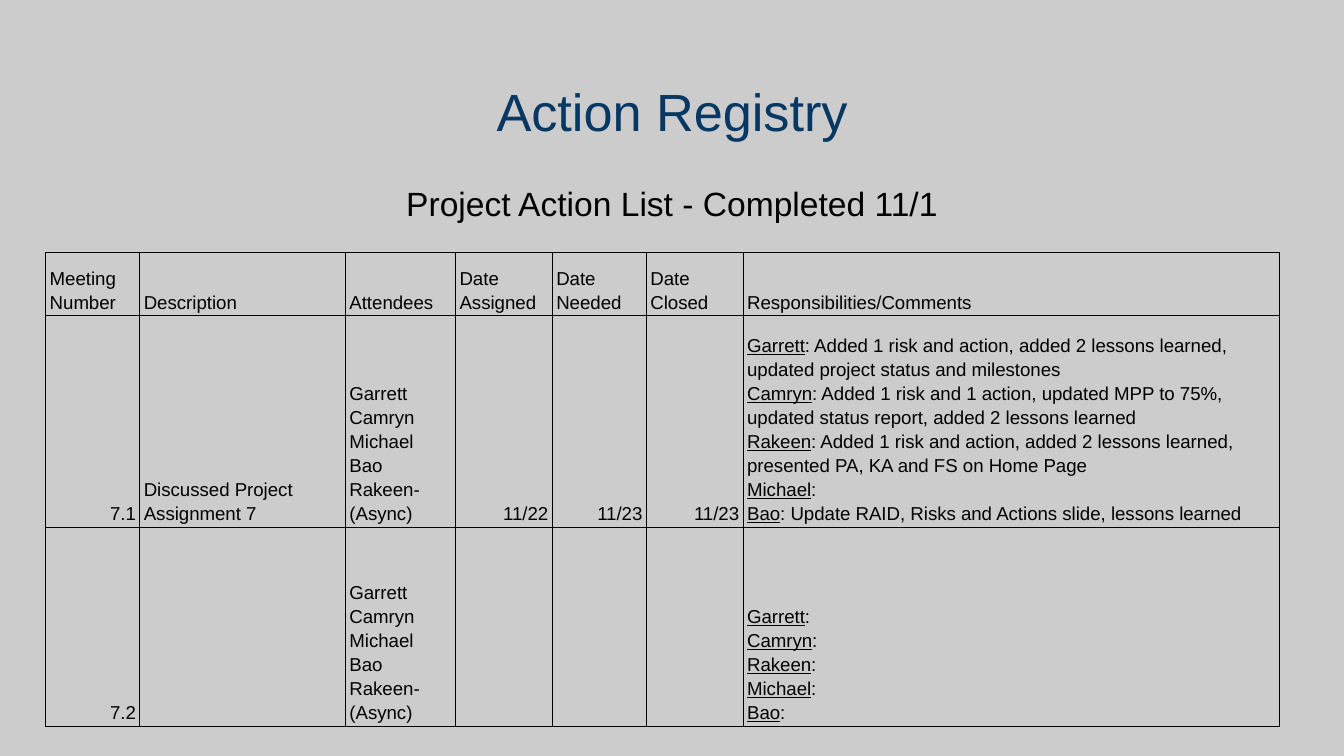
import dataclasses

import pptx
import pptx.dml.color
import pptx.enum.text
import pptx.oxml
import pptx.oxml.ns
import pptx.util

Inches = pptx.util.Inches
Pt = pptx.util.Pt
RGB = pptx.dml.color.RGBColor.from_string
ALIGN = pptx.enum.text.PP_ALIGN
ANCHOR = pptx.enum.text.MSO_ANCHOR


@dataclasses.dataclass(frozen=True)
class Theme:
    font: str = "Arial"
    background: str = "CCCCCC"
    title: str = "073763"
    text: str = "000000"
    title_size: int = 28
    subtitle_size: int = 18
    table_size: int = 10
    border: float = 0.75
    spacing: float = 1.15


THEME = Theme()
COLUMNS = [0.7, 1.53, 0.82, 0.72, 0.7, 0.72, 3.99]
ROWS = [0.47, 1.48, 1.48]
ATTENDEES = ["Garrett", "Camryn", "Michael", "Bao", "Rakeen- (Async)"]
UPDATES = [
    ("Garrett", ": Added 1 risk and action, added 2 lessons learned, updated project status and milestones"),
    ("Camryn", ": Added 1 risk and 1 action, updated MPP to 75%, updated status report, added 2 lessons learned"),
    ("Rakeen", ": Added 1 risk and action, added 2 lessons learned, presented PA, KA and FS on Home Page"),
    ("Michael", ":"),
    ("Bao", ": Update RAID, Risks and Actions slide, lessons learned"),
]
HEADER = [["Meeting", "Number"], ["Description"], ["Attendees"], ["Date Assigned"],
          ["Date Needed"], ["Date Closed"], ["Responsibilities/Comments"]]
MEETINGS = [
    [["7.1"], ["Discussed Project Assignment 7"], ATTENDEES, ["11/22"], ["11/23"], ["11/23"], UPDATES],
    [["7.2"], [], ATTENDEES, [], [], [], [(name, ":") for name, _ in UPDATES]],
]
RIGHT_ALIGNED = {0, 3, 4, 5}


def style(font, size, color):
    font.name = THEME.font
    font.size = Pt(size)
    font.color.rgb = RGB(color)


def add_heading(s, box, text, size, color):
    sp = s.shapes.add_textbox(*map(Inches, box))
    tf = sp.text_frame
    tf.word_wrap = True
    tf.margin_left = tf.margin_right = Inches(0.1)
    tf.margin_top = tf.margin_bottom = Inches(0.1)
    p = tf.paragraphs[0]
    p.text = text
    p.alignment = ALIGN.CENTER
    style(p.runs[0].font, size, color)


def add_borders(cell):
    tc_pr = cell._tc.get_or_add_tcPr()
    for side in ("lnL", "lnR", "lnT", "lnB"):
        tc_pr.append(pptx.oxml.parse_xml(
            f'<a:{side} {pptx.oxml.ns.nsdecls("a")} w="{Pt(THEME.border)}">'
            f'<a:solidFill><a:srgbClr val="{THEME.text}"/></a:solidFill></a:{side}>'))


def set_end_size(p, size):
    p._p.append(pptx.oxml.parse_xml(
        f'<a:endParaRPr {pptx.oxml.ns.nsdecls("a")} sz="{size * 100}"/>'))


def fill_cell(cell, lines, alignment):
    add_borders(cell)
    cell.fill.background()
    cell.vertical_anchor = ANCHOR.BOTTOM
    cell.margin_left = cell.margin_right = Inches(0.03)
    cell.margin_top = cell.margin_bottom = Inches(0.02)
    tf = cell.text_frame
    for i, line in enumerate(lines):
        p = tf.paragraphs[0] if i == 0 else tf.add_paragraph()
        p.alignment = alignment
        p.line_spacing = THEME.spacing
        p.font.size = Pt(THEME.table_size)
        parts = [line] if isinstance(line, str) else line
        for part in parts:
            r = p.add_run()
            r.text = part
            style(r.font, THEME.table_size, THEME.text)
        if len(parts) > 1:
            p.runs[0].font.underline = True
        set_end_size(p, THEME.table_size)


def add_registry(s, left, top):
    frame = s.shapes.add_table(len(ROWS), len(COLUMNS), Inches(left), Inches(top),
                               Inches(sum(COLUMNS)), Inches(sum(ROWS)))
    table = frame.table
    table.first_row = table.horz_banding = False
    for column, width in zip(table.columns, COLUMNS):
        column.width = Inches(width)
    for row, height in zip(table.rows, ROWS):
        row.height = Inches(height)
    for i, row in enumerate([HEADER] + MEETINGS):
        for j, lines in enumerate(row):
            right = i > 0 and j in RIGHT_ALIGNED
            fill_cell(table.cell(i, j), lines, ALIGN.RIGHT if right else ALIGN.LEFT)


def main():
    prs = pptx.Presentation()
    prs.slide_width = Inches(10)
    prs.slide_height = prs.slide_width * 9 // 16
    s = prs.slides.add_slide(prs.slide_layouts[6])
    s.background.fill.solid()
    s.background.fill.fore_color.rgb = RGB(THEME.background)
    add_heading(s, (0.34, 0.49, 9.32, 0.63), "Action Registry",
                THEME.title_size, THEME.title)
    add_heading(s, (0.34, 1.26, 9.32, 3.74), "Project Action List - Completed 11/1",
                THEME.subtitle_size, THEME.text)
    add_registry(s, 0.34, 1.88)
    prs.save("out.pptx")


if __name__ == "__main__":
    main()
